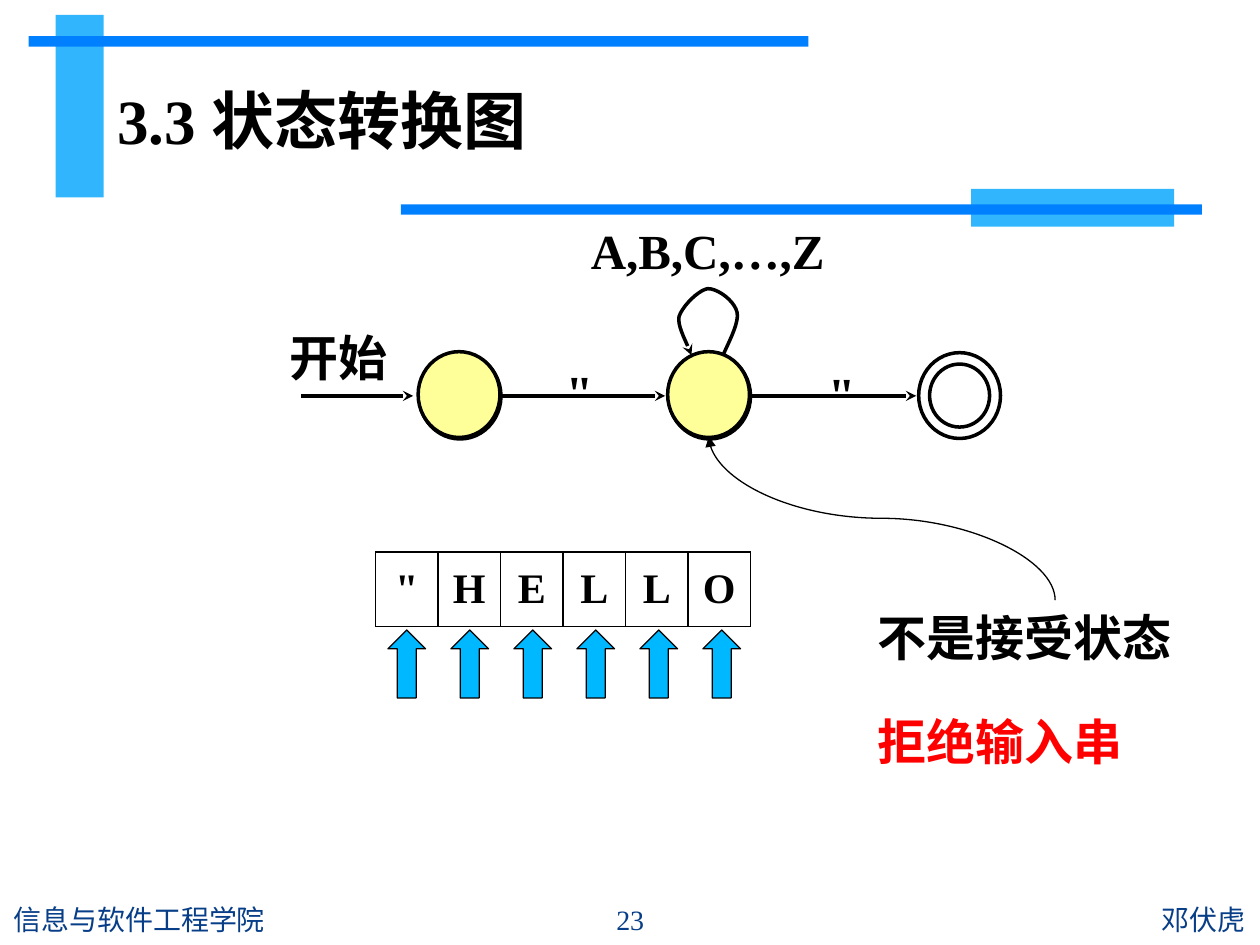
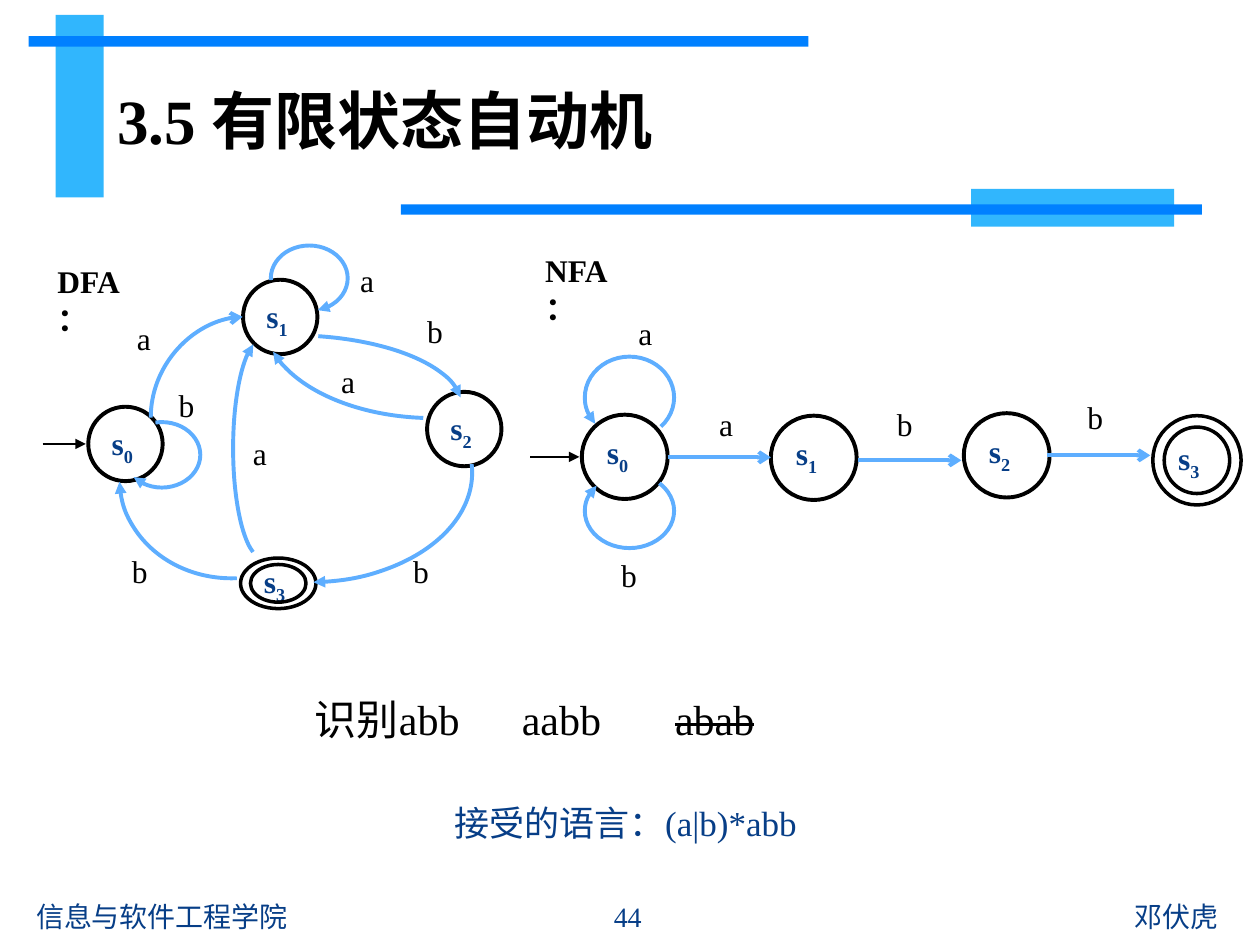
from dataclasses import dataclass

from lxml.etree import SubElement
from pptx import Presentation
from pptx.dml.color import RGBColor
from pptx.enum.shapes import MSO_CONNECTOR, MSO_SHAPE
from pptx.enum.text import MSO_ANCHOR, PP_ALIGN
from pptx.oxml.ns import qn
from pptx.util import Cm, Pt


@dataclass(frozen=True)
class Theme:
    black: str = "000000"
    white: str = "FFFFFF"
    navy: str = "073E87"
    red: str = "FF0000"
    sky: str = "31B6FD"
    blue: str = "0080FF"
    pointer: str = "00B8FF"
    yellow: str = "FFFF99"
    edge: str = "5EAEFF"
    serif: str = "Times New Roman"
    sans: str = "Calibri"
    heading: str = "Arial"
    cjk: str = "Noto Sans CJK SC"
    title: int = 36
    diagram: int = 28
    cell: int = 24
    body: int = 20
    label: int = 18
    footer: int = 16
    thin: float = 0.75
    medium: float = 2
    thick: float = 2.25


T = Theme()


def rgb(color):
    return RGBColor.from_string(color)


def write(tf, *lines, size=T.label, color=T.black, bold=False, font=T.serif,
          align=PP_ALIGN.LEFT, anchor=MSO_ANCHOR.TOP, margins=(0.25, 0.13),
          gap=0, spacing=None, tabs=()):
    """Fill a text frame; a line is a string or a list of (text, run overrides)."""
    tf.word_wrap = True
    tf.vertical_anchor = anchor
    tf.margin_left = tf.margin_right = Cm(margins[0])
    tf.margin_top = tf.margin_bottom = Cm(margins[1])
    for i, line in enumerate(lines):
        p = tf.add_paragraph() if i else tf.paragraphs[0]
        p.alignment = align
        if i and gap:
            p.space_before = Pt(gap)
        if spacing:
            p.line_spacing = spacing
        if tabs:
            tab_list = SubElement(p._p.get_or_add_pPr(), qn("a:tabLst"))
            for stop in tabs:
                SubElement(tab_list, qn("a:tab"), pos=str(Cm(stop)), algn="l")
        for text, extra in [(line, {})] if isinstance(line, str) else line:
            r = p.add_run()
            r.text = text
            r.font.size = Pt(size)
            r.font.bold = bold
            r.font.name = extra.get("font", font)
            r.font.color.rgb = rgb(extra.get("color", color))
            rPr = r._r.get_or_add_rPr()
            SubElement(rPr, qn("a:ea"), typeface=T.cjk)
            for name in ("baseline", "strike"):
                if name in extra:
                    rPr.set(name, extra[name])


def bezier(start, c1, c2, end, steps=10):
    """Points along a cubic curve, without its start."""
    for i in range(1, steps + 1):
        t = i / steps
        u = 1 - t
        yield tuple(u**3 * a + 3 * u * u * t * b + 3 * u * t * t * c + t**3 * d
                    for a, b, c, d in zip(start, c1, c2, end))


class Deck:
    def __init__(self):
        self.prs = Presentation()
        self.prs.slide_width, self.prs.slide_height = Cm(25.4), Cm(19.05)
        self.s = None

    def slide(self, title, number, footer):
        """Start a slide with bands, title and footer (left, top, width)."""
        self.s = self.prs.slides.add_slide(self.prs.slide_layouts[6])
        for box, color in (((1.12, 0.3, 0.97, 3.68), T.sky),
                           ((0.58, 0.73, 15.72, 0.21), T.blue),
                           ((19.58, 3.81, 4.09, 0.76), T.sky),
                           ((8.08, 4.12, 16.15, 0.21), T.blue)):
            self.shape(MSO_SHAPE.RECTANGLE, box, fill=color)
        self.text((2.11, 1.12, 19.61, 2.59), title, size=T.title, bold=True,
                  anchor=MSO_ANCHOR.MIDDLE)
        left, top, width = footer
        middle = left + width + 0.04
        for x, w, text, font, align in (
                (left, width, "信息与软件工程学院", T.sans, PP_ALIGN.LEFT),
                (middle, 3.23, number, T.serif, PP_ALIGN.CENTER),
                (middle + 3.25, width, "邓伏虎", T.sans, PP_ALIGN.RIGHT)):
            self.text((x, top, w, 1.02), text, size=T.footer, color=T.navy,
                      font=font, align=align, anchor=MSO_ANCHOR.MIDDLE)

    def text(self, box, *lines, **fmt):
        sp = self.s.shapes.add_textbox(*map(Cm, box))
        write(sp.text_frame, *lines, **fmt)

    def paint(self, sp, fill=None, line=None, width=T.medium):
        sp.shadow.inherit = False
        if fill:
            sp.fill.solid()
            sp.fill.fore_color.rgb = rgb(fill)
        else:
            sp.fill.background()
        if line:
            sp.line.color.rgb = rgb(line)
            sp.line.width = Pt(width)
        else:
            sp.line.fill.background()

    def shape(self, kind, box, **style):
        sp = self.s.shapes.add_shape(kind, *map(Cm, box))
        self.paint(sp, **style)
        return sp

    def arrowhead(self, sp, kind):
        SubElement(sp.line._get_or_add_ln(), qn("a:tailEnd"), type=kind)

    def state(self, box, index=None, ring=None, fill=None, width=T.thick):
        """A state circle; ring is the (x, y) inset of an accepting state's inner circle."""
        if ring:
            width = T.medium
        sp = self.shape(MSO_SHAPE.OVAL, box, fill=fill, line=T.black, width=width)
        if index is not None:
            write(sp.text_frame, [("s", {}), (str(index), {"baseline": "-25000"})],
                  color=T.navy, bold=True,
                  anchor=MSO_ANCHOR.MIDDLE if ring else MSO_ANCHOR.TOP)
        if ring:
            (x, y, w, h), (dx, dy) = box, ring
            self.shape(MSO_SHAPE.OVAL, (x + dx, y + dy, w - 2 * dx, h - 2 * dy),
                       line=T.black, width=width)

    def connector(self, kind, ends, color, width, head):
        c = self.s.shapes.add_connector(kind, *map(Cm, ends))
        c.line.color.rgb = rgb(color)
        c.line.width = Pt(width)
        self.arrowhead(c, head)
        SubElement(c._element.spPr, qn("a:effectLst"))
        return c

    def arrow(self, x1, x2, y, color=T.black, width=T.thin, head="triangle"):
        self.connector(MSO_CONNECTOR.STRAIGHT, (x1, y, x2, y), color, width, head)

    def curve(self, box, preset, turn, flips, color, width, head):
        """A curved connector whose unrotated box is turned by some degrees."""
        x, y, w, h = box
        c = self.connector(MSO_CONNECTOR.CURVE, (x, y, x + w, y + h), color, width, head)
        spPr = c._element.spPr
        spPr.find(qn("a:prstGeom")).set("prst", preset)
        xfrm = spPr.find(qn("a:xfrm"))
        xfrm.set("rot", str(turn * 60000))
        for flip in flips:
            xfrm.set(flip, "1")

    def arc(self, box, start, end, flipped=False):
        """An edge along an ellipse, clockwise between two angles in degrees."""
        sp = self.shape(MSO_SHAPE.ARC, box, line=T.edge, width=T.thick)
        sp.adjustments[0], sp.adjustments[1] = start * 0.6, end * 0.6
        self.arrowhead(sp, "triangle")
        if flipped:
            sp._element.spPr.find(qn("a:xfrm")).set("flipV", "1")

    def loop(self, start, *curves):
        points = [start]
        for curve in curves:
            points += bezier(points[-1], *curve)
        points = [(Cm(x), Cm(y)) for x, y in points]
        builder = self.s.shapes.build_freeform(*points[0])
        builder.add_line_segments(points[1:], close=False)
        sp = builder.convert_to_shape()
        self.paint(sp, line=T.black)
        self.arrowhead(sp, "stealth")

    def tape(self, left, top, cell_width, height, symbols):
        table = self.s.shapes.add_table(1, len(symbols), Cm(left), Cm(top),
                                        Cm(cell_width * len(symbols)), Cm(height)).table
        for i, symbol in enumerate(symbols):
            table.columns[i].width = Cm(cell_width)
            cell = table.cell(0, i)
            write(cell.text_frame, symbol, size=T.cell, bold=True, align=PP_ALIGN.CENTER)
            cell.vertical_anchor = MSO_ANCHOR.MIDDLE
            tcPr = cell._tc.get_or_add_tcPr()
            for side in ("a:lnL", "a:lnR", "a:lnT", "a:lnB"):
                fill = SubElement(SubElement(tcPr, qn(side), w=str(Pt(1))), qn("a:solidFill"))
                SubElement(fill, qn("a:srgbClr"), val=T.black)
            cell.fill.solid()
            cell.fill.fore_color.rgb = rgb(T.white)


def transition_diagram(deck):
    deck.slide("3.3 状态转换图", "23", footer=(0.03, 18.03, 11.02))
    size = (1.65, 1.73)
    deck.state((18.52, 7.11, *size), ring=(0.22, 0.23))
    for left in (8.43, 13.46):
        deck.state((left + 0.02, 7.12, *size), width=T.medium)
        deck.state((left, 7.09, *size), fill=T.yellow, width=T.medium)
    for x1, x2 in ((6.07, 8.33), (10.11, 13.41), (15.16, 18.47)):
        deck.arrow(x1, x2, 7.98, width=T.medium, head="stealth")
    for box, text, align in (
            ((5.69, 6.53, 2.67, 1.32), "开始", PP_ALIGN.LEFT),
            ((10.31, 7.21, 2.74, 1.24), '"', PP_ALIGN.CENTER),
            ((15.6, 7.24, 2.74, 1.47), '"', PP_ALIGN.CENTER),
            ((11.76, 4.37, 6.73, 1.63), "A,B,C,…,Z", PP_ALIGN.LEFT)):
        deck.text(box, text, size=T.diagram, bold=True, align=align, margins=(0.15, 0.08))
    deck.loop((14.58, 7.16),
              ((14.63, 7.01), (14.91, 6.53), (14.86, 6.3)),
              ((14.81, 6.07), (14.48, 5.82), (14.27, 5.82)),
              ((14.1, 5.84), (13.77, 6.15), (13.69, 6.38)),
              ((13.64, 6.58), (13.89, 6.99), (13.94, 7.16)))
    symbols = '"HELLO'
    deck.tape(7.57, 11.13, 1.26, 1.5, symbols)
    for i in range(len(symbols)):
        deck.shape(MSO_SHAPE.UP_ARROW, (7.82 + 1.27 * i, 12.7, 0.76, 1.37),
                   fill=T.pointer, line=T.black, width=T.thin)
    deck.text((17.45, 12.12, 7.65, 3.84), "不是接受状态", [("拒绝输入串", {"color": T.red})],
              size=T.diagram, bold=True, gap=26)
    deck.curve((16.13, 6.96, 3.3, 6.98), "curvedConnector3", 270, ["flipV"],
               T.black, T.thin, "triangle")


def automaton_name(deck, left, top, name):
    deck.text((left, top, 2.08, 1.02), [(name, {}), ("：", {"font": T.cjk})], bold=True)


def edge_labels(deck, **places):
    for letter, corners in places.items():
        for left, top in corners:
            deck.text((left, top, 0.8, 1.02), letter)


def draw_dfa(deck):
    automaton_name(deck, 0.91, 5.16, "DFA")
    deck.arrow(0.86, 1.73, 8.95)
    for index, corner in enumerate(((1.78, 8.2), (4.9, 5.64), (8.61, 7.9))):
        deck.state((*corner, 1.5, 1.5), index)
    deck.state((4.85, 11.25, 1.52, 1.02), 3, ring=(0.2, 0.13))
    deck.curve((2.95, 6.48, 2.03, 1.85), "curvedConnector2", 90, ["flipH", "flipV"],
               T.edge, T.thick, "arrow")
    for box, start, end in (((5.31, 4.42, 6.86, 4.01), 95.9, 168.3),
                            ((4.7, 6.83, 1.19, 4.42), 95.3, 264.9),
                            ((2.41, 6.76, 6.91, 2.9), 291.1, 356.7),
                            ((2.49, 8.51, 1.55, 1.32), 258.7, 141.9),
                            ((5.46, 4.95, 1.55, 1.32), 177.3, 75.2),
                            ((2.92, 7.32, 6.6, 4.42), 357, 87.4),
                            ((2.41, 7.65, 4.52, 4.01), 87, 178.5)):
        deck.arc(box, start, end)
    edge_labels(deck, a=((2.51, 6.3), (4.85, 8.61), (7.01, 5.13), (6.63, 7.16)),
                b=((8.08, 11), (3.35, 7.65), (8.36, 6.17), (2.41, 11)))


def draw_nfa(deck):
    automaton_name(deck, 10.74, 4.93, "NFA")
    deck.arrow(10.69, 11.68, 9.21)
    for index, corner in enumerate(((11.73, 8.36), (15.54, 8.38), (19.43, 8.33))):
        deck.state((*corner, 1.73, 1.7), index)
    deck.state((23.24, 8.38, 1.78, 1.8), 3, ring=(0.23, 0.23))
    for x, y in ((13.46, 9.22), (17.3, 9.28), (21.11, 9.18)):
        deck.arrow(x, x + 2.08, y, T.edge, T.thick, "arrow")
    deck.arc((11.79, 9.55, 1.8, 1.5), 317.3, 217.5)
    deck.arc((11.79, 7.19, 1.8, 1.65), 317.3, 217.5, flipped=True)
    edge_labels(deck, a=((12.62, 6.2), (14.25, 8.03)),
                b=((21.67, 7.9), (17.83, 8.03), (12.27, 11.07)))


def finite_automata(deck):
    deck.slide([("3.5 ", {}), ("有限状态自动机", {"font": T.heading})], "44",
               footer=(0.48, 17.96, 10.52))
    draw_dfa(deck)
    draw_nfa(deck)
    deck.text((6.1, 13.34, 12.7, 1.8),
              [("识别abb\taabb\t", {}), ("abab", {"strike": "sngStrike"})],
              size=T.cell, spacing=1.5, tabs=(4.17, 7.26))
    deck.text((0.51, 16.03, 24.21, 1.9), "接受的语言：(a|b)*abb",
              size=T.body, color=T.navy, align=PP_ALIGN.CENTER)


def main():
    deck = Deck()
    transition_diagram(deck)
    finite_automata(deck)
    deck.prs.save("out.pptx")


if __name__ == "__main__":
    main()
